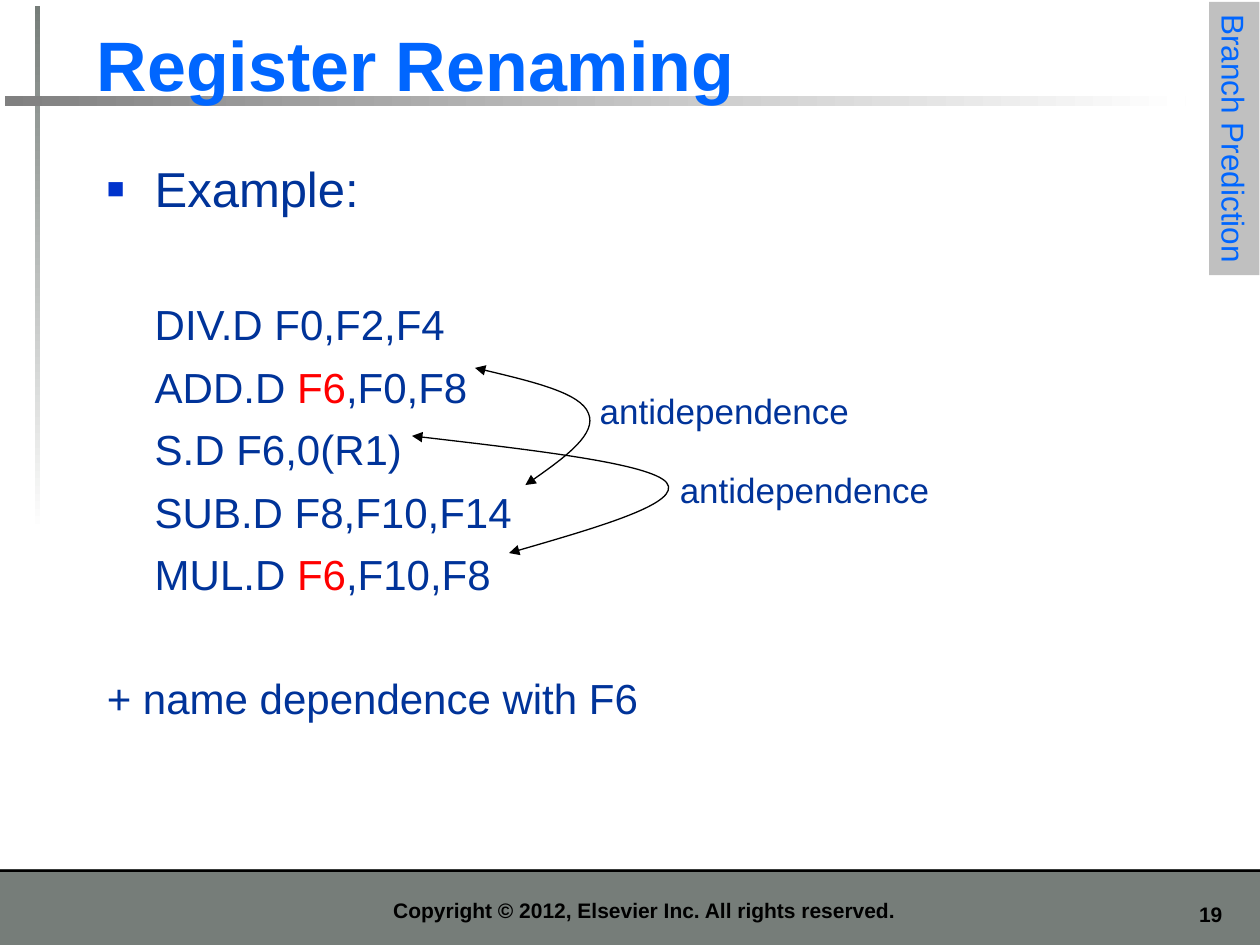
"""Build the Register Renaming slide."""
from lxml.etree import SubElement as Sub
from pptx import Presentation
from pptx.dml.color import RGBColor
from pptx.enum.shapes import MSO_SHAPE as Kind
from pptx.enum.text import MSO_ANCHOR as Anchor, PP_ALIGN as Align
from pptx.oxml.ns import qn
from pptx.util import Inches, Pt

BLACK = RGBColor(0, 0, 0)
WHITE = RGBColor(0xFF, 0xFF, 0xFF)
SLATE = RGBColor(0x76, 0x7D, 0x79)
GRAY = RGBColor(0x80, 0x80, 0x80)
SILVER = RGBColor(0xC0, 0xC0, 0xC0)
SKY = RGBColor(0, 0x66, 0xFF)
NAVY = RGBColor(0, 0x33, 0x99)
RED = RGBColor(0xFF, 0, 0)

TITLE = {"size": Pt(40), "bold": True, "color": SKY}
HEAD = {"size": Pt(28), "color": NAVY}
CODE = {"size": Pt(24), "color": NAVY}
MARK = CODE | {"color": RED}
LABEL = {"size": Pt(20), "color": NAVY}
SIDE = {"size": Pt(18), "color": SKY}
FOOT = {"size": Pt(12), "bold": True, "color": BLACK}

LINES = [
    (46, [("DIV.D F0,F2,F4", CODE)]),
    (7, [("ADD.D ", CODE), ("F6", MARK), (",F0,F8", CODE)]),
    (7, [("S.D F6,0(R1)", CODE)]),
    (7, [("SUB.D F8,F10,F14", CODE)]),
    (7, [("MUL.D ", CODE), ("F6", MARK), (",F10,F8", CODE)]),
]
LINKS = [
    ([(3.77, 2.92), (4.19, 3.02), (4.61, 3.12), (4.67, 3.28),
      (4.74, 3.44), (4.46, 3.65), (4.17, 3.85)], (4.61, 3.04, 2.28, 0.44)),
    ([(3.27, 3.46), (4.21, 3.57), (5.16, 3.68), (5.29, 3.83),
      (5.42, 3.99), (4.73, 4.19), (4.04, 4.39)], (5.24, 3.67, 2.29, 0.44)),
]


def add_run(para, text, style):
    """Add a run with the given font values."""
    run = para.add_run()
    run.text = text
    font = run.font
    font.name = "Arial"
    for key, value in style.items():
        if key == "color":
            font.color.rgb = value
        else:
            setattr(font, key, value)


def add_text(slide, box, text, style, align=Align.LEFT, anchor=Anchor.TOP):
    """Add a text box with one line and return its frame."""
    frame = slide.shapes.add_textbox(*map(Inches, box)).text_frame
    frame.word_wrap = True
    frame.vertical_anchor = anchor
    para = frame.paragraphs[0]
    para.alignment = align
    add_run(para, text, style)
    return frame


def add_bar(slide, box, color, angle=None):
    """Add a borderless bar, fading to white when an angle is given."""
    bar = slide.shapes.add_shape(Kind.RECTANGLE, *map(Inches, box))
    bar.shadow.inherit = False
    bar.line.fill.background()
    if angle is None:
        bar.fill.solid()
        bar.fill.fore_color.rgb = color
    else:
        bar.fill.gradient()
        bar.fill.gradient_angle = angle
        for stop, tone in zip(bar.fill.gradient_stops, (color, WHITE)):
            stop.color.rgb = tone
    return bar


def add_side(slide):
    """Add the rotated section tab."""
    tab = add_bar(slide, (8.71, 0.9, 2.17, 0.4), SILVER)
    tab.rotation = 90
    frame = tab.text_frame
    frame.word_wrap = False
    frame.vertical_anchor = Anchor.TOP
    frame.paragraphs[0].alignment = Align.LEFT
    add_run(frame.paragraphs[0], "Branch Prediction", SIDE)


def set_dent(para, left, first=0):
    """Set the left margin and first-line indent of a paragraph."""
    props = para._p.get_or_add_pPr()
    props.set("marL", str(Inches(left)))
    props.set("indent", str(Inches(first)))
    return props


def add_body(slide):
    """Add the bulleted heading, the code lines and the remark."""
    frame = add_text(slide, (0.75, 1.26, 9.04, 5.56), "Example:", HEAD)
    head = frame.paragraphs[0]
    props = set_dent(head, 0.38, -0.38)
    head.line_spacing = 0.9
    Sub(Sub(props, qn("a:buClr")), qn("a:srgbClr"), val="0033CC")
    Sub(props, qn("a:buSzPct"), val="60000")
    Sub(props, qn("a:buFont"), typeface="Arial")
    Sub(props, qn("a:buChar"), char="■")
    rows = [(0.38, *line) for line in LINES]
    rows.append((0, 42, [("+ name dependence with F6", CODE)]))
    for left, gap, runs in rows:
        para = frame.add_paragraph()
        set_dent(para, left)
        para.space_before = Pt(gap)
        for text, style in runs:
            add_run(para, text, style)


def add_curve(slide, points):
    """Add a curve of cubic pieces with an arrowhead at each end."""
    spots = [(Inches(x), Inches(y)) for x, y in points]
    build = slide.shapes.build_freeform(*spots[0])
    build.add_line_segments(spots[1:], close=False)
    curve = build.convert_to_shape()
    curve.shadow.inherit = False
    curve.fill.background()
    curve.line.color.rgb = BLACK
    curve.line.width = Pt(0.75)
    steps = list(curve._element.iter(qn("a:lnTo")))
    trace = steps[0].getparent()
    for start in range(0, len(steps), 3):
        cubic = Sub(trace, qn("a:cubicBezTo"))
        for step in steps[start:start + 3]:
            cubic.append(step[0])
            trace.remove(step)
    line = curve.line._get_or_add_ln()
    for end in ("a:headEnd", "a:tailEnd"):
        Sub(line, qn(end), type="triangle")


def main():
    """Build and save the slide."""
    deck = Presentation()
    deck.slide_width, deck.slide_height = Inches(10), Inches(7.5)
    slide = deck.slides.add_slide(deck.slide_layouts[6])
    add_bar(slide, (0, 6.9, 10, 0.6), SLATE)
    add_bar(slide, (0, 6.9, 10, 0.02), BLACK)
    add_text(slide, (9.17, 7.11, 0.63, 0.3), "19", FOOT, Align.RIGHT)
    add_bar(slide, (0.28, 0.05, 0.04, 4.17), SLATE, 270)
    add_bar(slide, (0.04, 0.76, 9.37, 0.08), GRAY, 0)
    add_text(slide, (1.14, 6.98, 7.95, 0.39),
             "Copyright © 2012, Elsevier Inc. All rights reserved.",
             FOOT, Align.CENTER, Anchor.BOTTOM)
    add_text(slide, (0.67, 0.12, 9.06, 0.77), "Register Renaming", TITLE,
             anchor=Anchor.BOTTOM)
    add_body(slide)
    add_side(slide)
    for points, box in LINKS:
        add_curve(slide, points)
        add_text(slide, box, "antidependence", LABEL, Align.CENTER)
    deck.save("out.pptx")


if __name__ == "__main__":
    main()
